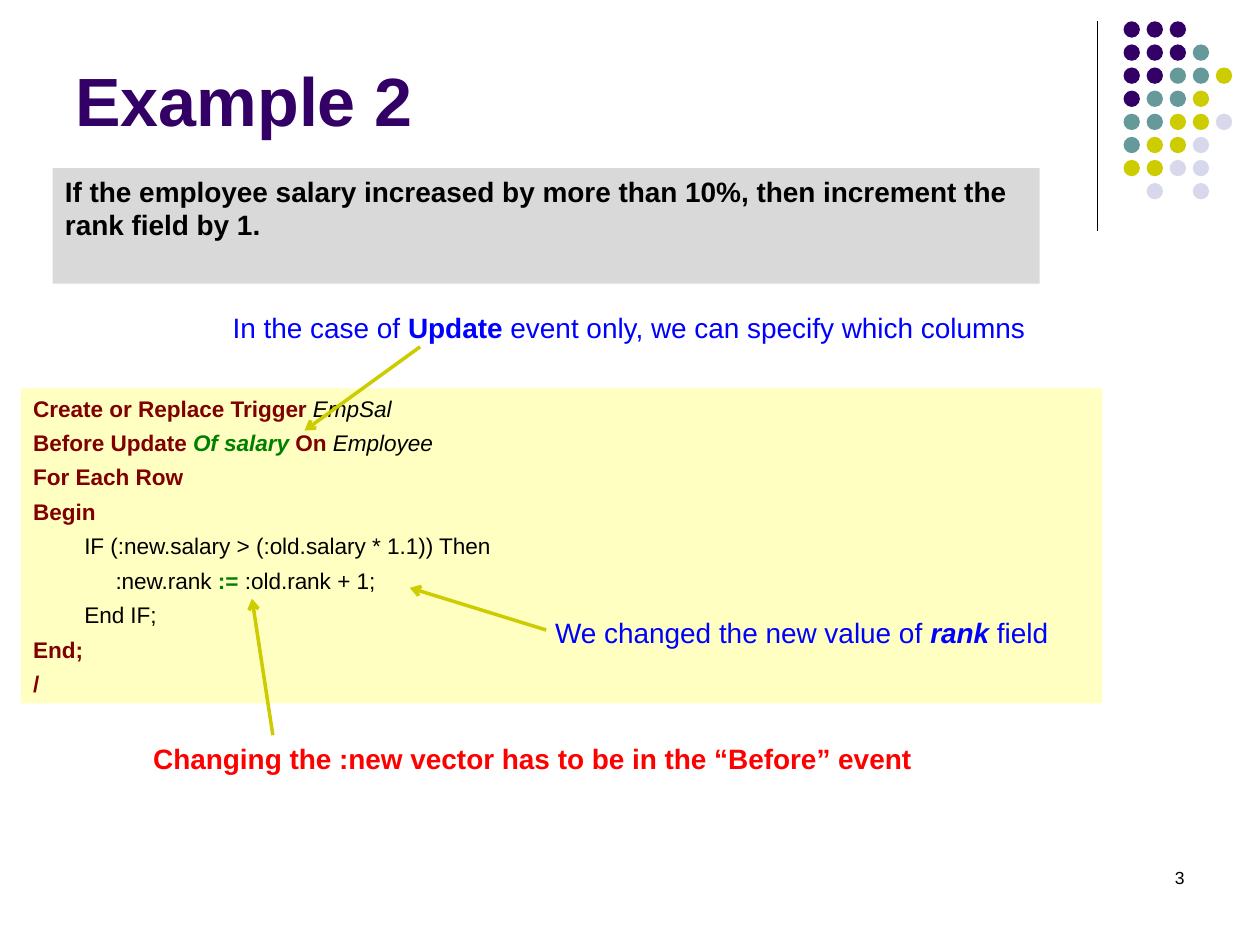
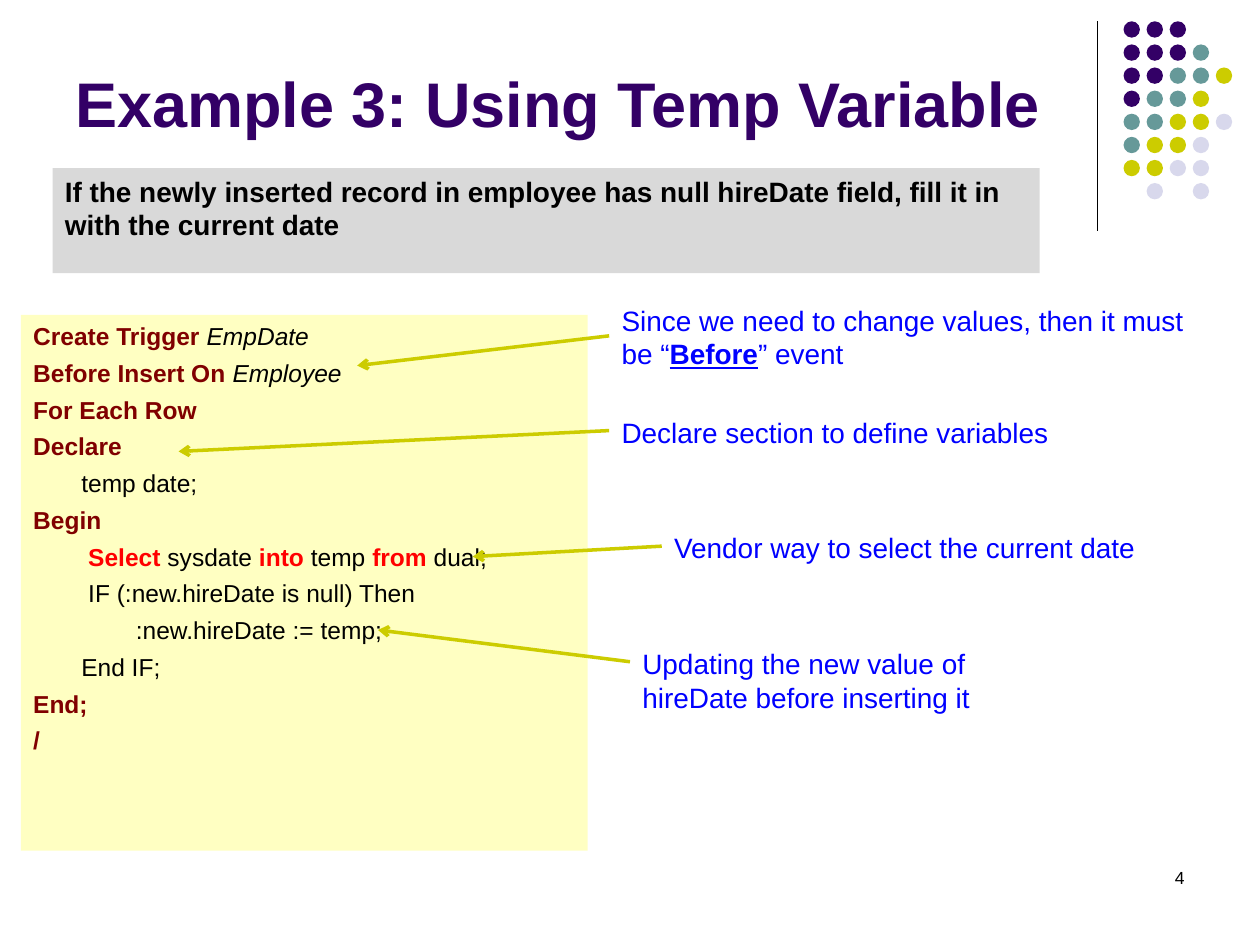
"""Build two slides that explain database triggers with annotated code."""
from dataclasses import dataclass
from itertools import product

from lxml import etree
from pptx import Presentation
from pptx import util as u
from pptx.dml.color import RGBColor
from pptx.enum import shapes, text
from pptx.oxml import ns


@dataclass(frozen=True)
class Theme:
    font: str = "Arial"
    purple: str = "330066"
    teal: str = "669999"
    olive: str = "CCCC00"
    lilac: str = "D8D8EC"
    black: str = "000000"
    grey: str = "D9D9D9"
    cream: str = "FFFFC2"
    maroon: str = "800000"
    green: str = "008000"
    blue: str = "0000FF"
    red: str = "FF0000"
    body_size: float = 16
    number_size: float = 10
    task_gap: float = 4
    code_gap: float = 4.2
    rule_width: float = 0.75
    arrow_width: float = 2


T = Theme()

STYLES = {
    "title": dict(color=T.purple, bold=True),
    "task": dict(color=T.black, bold=True),
    "plain": dict(color=T.black),
    "name": dict(color=T.black, italic=True),
    "keyword": dict(color=T.maroon, bold=True),
    "column": dict(color=T.green, bold=True, italic=True),
    "assign": dict(color=T.green, bold=True),
    "query": dict(color=T.red, bold=True),
    "note": dict(color=T.blue),
    "strong": dict(color=T.blue, bold=True),
    "field": dict(color=T.blue, bold=True, italic=True),
    "event": dict(color=T.blue, bold=True, underline=True),
    "warning": dict(color=T.red, bold=True),
}

DOT_ROWS = ["PPP", "PPPT", "PPTTO", "PTTO", "TTOOL", "TOOL", "OOLL", " L L"]
DOT_COLORS = {"P": T.purple, "T": T.teal, "O": T.olive, "L": T.lilac}
DOT_AREA = (22.65, 0.43, 24.51, 3.69)
DOT_SIZE = 0.33

RULE = ((22.12, 0.43), (22.12, 4.65))
TITLE_AT = (1.27, 0.33, 20.96, 2.62)
NUMBER_AT = (18.2, 17.36, 5.93, 1.27)

SLIDES = [
    dict(
        number=3,
        title="Example 2",
        title_size=39,
        task="If the employee salary increased by more than 10%, then increment the rank field by 1.",
        task_at=(1.06, 3.39, 19.9, 2.33),
        code_at=(0.42, 7.83, 21.8, 6.35),
        code_size=12.9,
        code=[
            (0, [("Create or Replace Trigger ", "keyword"), ("EmpSal", "name")]),
            (0, [("Before Update ", "keyword"), ("Of salary", "column"),
                 (" On ", "keyword"), ("Employee", "name")]),
            (0, [("For Each Row", "keyword")]),
            (0, [("Begin", "keyword")]),
            (1.03, [("IF (:new.salary > (:old.salary * 1.1)) Then", "plain")]),
            (1.66, [(":new.rank ", "plain"), (":= ", "assign"), (":old.rank + 1;", "plain")]),
            (1.03, [("End IF;", "plain")]),
            (0, [("End;", "keyword")]),
            (0, [("/", "keyword")]),
        ],
        notes=[
            dict(at=(4.44, 6.14, 16.8, 0.94), arrow=((8.47, 6.99), (6.14, 8.68)),
                 runs=[("In the case of ", "note"), ("Update", "strong"),
                       (" event only, we can specify which columns", "note")]),
            dict(at=(10.94, 12.28, 10.7, 0.94), arrow=((11.01, 12.7), (8.26, 11.85)),
                 runs=[("We changed the new value of ", "note"), ("rank", "field"),
                       (" field", "note")]),
            dict(at=(2.84, 14.82, 16, 0.94), arrow=((5.5, 14.82), (5.08, 12.07)),
                 runs=[("Changing the :new vector has to be in the “Before” event", "warning")]),
        ],
    ),
    dict(
        number=4,
        title="Example 3: Using Temp Variable",
        title_size=36,
        task="If the newly inserted record in employee has null hireDate field, "
             "fill it in with the current date",
        task_at=(1.06, 3.39, 19.9, 2.12),
        code_at=(0.42, 6.35, 11.43, 10.8),
        code_size=14,
        code=[
            (0, [("Create Trigger ", "keyword"), ("EmpDate", "name")]),
            (0, [("Before Insert On ", "keyword"), ("Employee", "name")]),
            (0, [("For Each Row", "keyword")]),
            (0, [("Declare", "keyword")]),
            (0.97, [("temp date;", "plain")]),
            (0, [("Begin", "keyword")]),
            (1.11, [("Select ", "query"), ("sysdate ", "plain"), ("into ", "query"),
                    ("temp ", "plain"), ("from ", "query"), ("dual;", "plain")]),
            (1.11, [("IF (:new.hireDate is null) Then", "plain")]),
            (2.07, [(":new.hireDate := temp;", "plain")]),
            (0.97, [("End IF;", "plain")]),
            (0, [("End;", "keyword")]),
            (0, [("/", "keyword")]),
        ],
        notes=[
            dict(at=(13.34, 10.58, 10.06, 0.94), arrow=((13.34, 11.01), (9.53, 11.22)),
                 runs=[("Vendor way to select the current date", "note")]),
            dict(at=(12.7, 12.91, 7.41, 1.62), arrow=((12.7, 13.34), (7.62, 12.7)),
                 runs=[("Updating the new value of hireDate before inserting it", "note")]),
            dict(at=(12.28, 8.25, 9.95, 0.94), arrow=((12.28, 8.68), (3.6, 9.1)),
                 runs=[("Declare section to define variables", "note")]),
            dict(at=(12.28, 5.99, 12.28, 1.62), arrow=((12.28, 6.77), (7.2, 7.37)),
                 runs=[("Since we need to change values, then it must be “", "note"),
                       ("Before", "event"), ("” event", "note")]),
        ],
    ),
]


def cms(values):
    return [u.Cm(v) for v in values]


def add_text(s, at, lines, *, size, fill=None, gap=0, anchor="TOP", align="LEFT"):
    if fill:
        sp = add_filled(s, "RECTANGLE", at, fill)
    else:
        sp = s.shapes.add_textbox(*cms(at))
    tf = sp.text_frame
    tf.word_wrap = True
    tf.vertical_anchor = text.MSO_ANCHOR[anchor]
    for i, (indent, runs) in enumerate(lines):
        p = tf.add_paragraph() if i else tf.paragraphs[0]
        p.alignment = text.PP_ALIGN[align]
        p.space_before = u.Pt(gap)
        if indent:
            p._p.get_or_add_pPr().set("marL", str(u.Cm(indent)))
        for words, style in runs:
            add_run(p, words, size=size, **STYLES[style])


def add_run(p, words, *, size, color, bold=False, italic=False, underline=False):
    r = p.add_run()
    r.text = words
    f = r.font
    f.name, f.size = T.font, u.Pt(size)
    f.bold, f.italic, f.underline = bold, italic, underline
    f.color.rgb = RGBColor.from_string(color)


def add_filled(s, kind, at, color):
    sp = s.shapes.add_shape(shapes.MSO_SHAPE[kind], *cms(at))
    sp.shadow.inherit = False
    sp.fill.solid()
    sp.fill.fore_color.rgb = RGBColor.from_string(color)
    sp.line.fill.background()
    return sp


def add_line(s, ends, color, width, arrow=False):
    start, end = ends
    c = s.shapes.add_connector(shapes.MSO_CONNECTOR.STRAIGHT, *cms(start + end))
    c.line.color.rgb = RGBColor.from_string(color)
    c.line.width = u.Pt(width)
    if arrow:
        etree.SubElement(c.line._get_or_add_ln(), ns.qn("a:tailEnd"), type="arrow")
    etree.SubElement(c._element.spPr, ns.qn("a:effectLst"))


def add_dots(s):
    left, top, right, bottom = DOT_AREA
    rows, cols = len(DOT_ROWS), max(map(len, DOT_ROWS))
    dx, dy = (right - left) / (cols - 1), (bottom - top) / (rows - 1)
    for row, col in product(range(rows), range(cols)):
        color = DOT_COLORS.get(DOT_ROWS[row].ljust(cols)[col])
        if color:
            at = (left + col * dx, top + row * dy, DOT_SIZE, DOT_SIZE)
            add_filled(s, "OVAL", at, color)


def add_frame(s, title, title_size, number):
    add_line(s, RULE, T.black, T.rule_width)
    add_dots(s)
    add_text(s, TITLE_AT, [(0, [(title, "title")])], size=title_size, anchor="BOTTOM")
    add_text(s, NUMBER_AT, [(0, [(str(number), "plain")])], size=T.number_size, align="RIGHT")


def build_slide(prs, d):
    s = prs.slides.add_slide(prs.slide_layouts[6])
    add_frame(s, d["title"], d["title_size"], d["number"])
    add_text(s, d["task_at"], [(0, [(d["task"], "task")])],
             size=T.body_size, fill=T.grey, gap=T.task_gap)
    add_text(s, d["code_at"], d["code"], size=d["code_size"], fill=T.cream, gap=T.code_gap)
    for note in d["notes"]:
        add_line(s, note["arrow"], T.olive, T.arrow_width, arrow=True)
        add_text(s, note["at"], [(0, note["runs"])], size=T.body_size)


def main():
    prs = Presentation()
    prs.slide_width, prs.slide_height = cms((25.4, 19.05))
    for d in SLIDES:
        build_slide(prs, d)
    prs.save("out.pptx")


if __name__ == "__main__":
    main()
